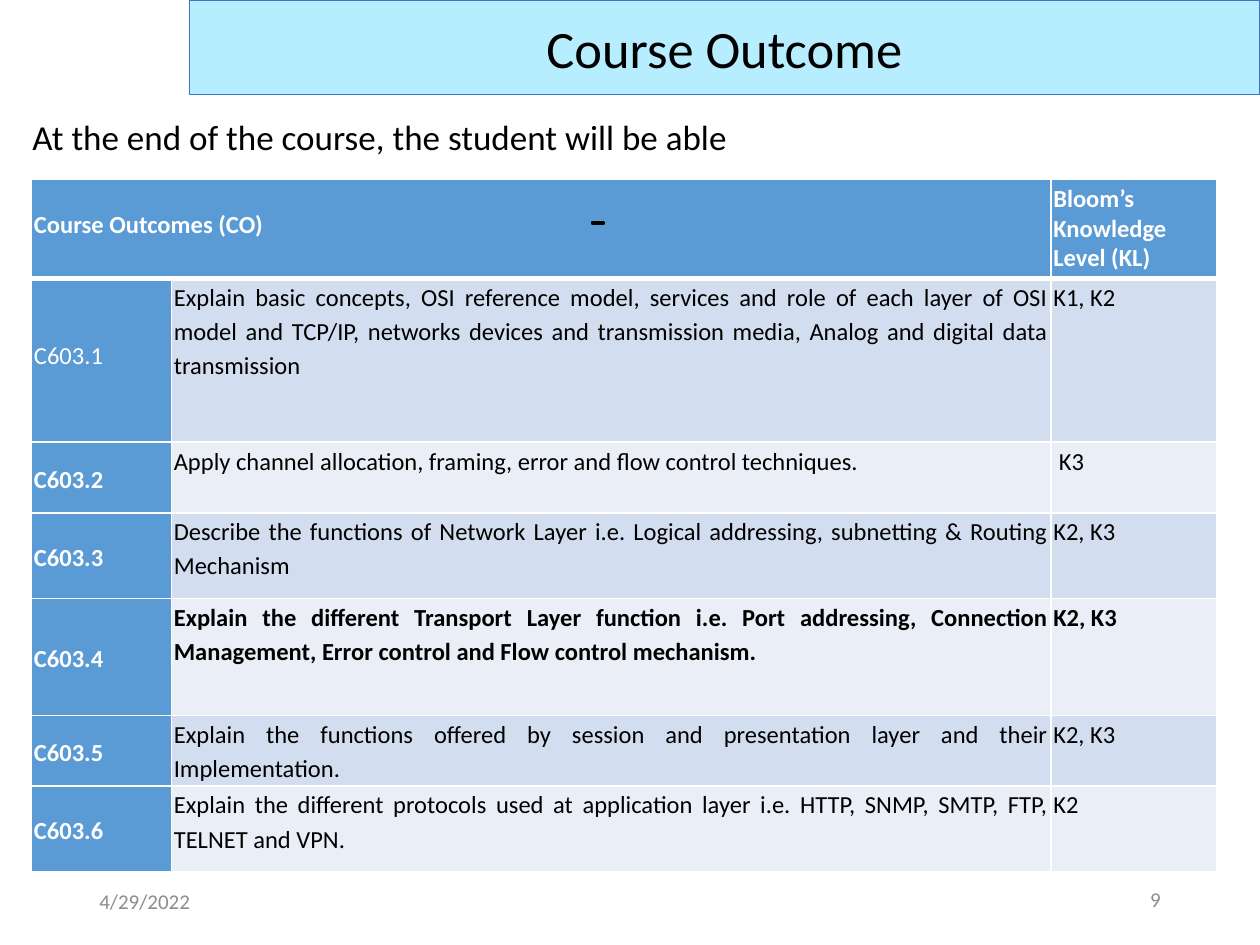
from lxml import etree
from pptx import Presentation
from pptx.dml.color import RGBColor
from pptx.enum import shapes, text
from pptx.oxml import ns
from pptx.util import Inches, Pt

COLORS = {
    "banner": "B7EEFF", "banner_line": "4472C4", "header": "5B9BD5",
    "odd": "D2DEEF", "even": "EAEFF7", "white": "FFFFFF",
    "black": "000000", "footer": "8C8C8C",
}
COLUMNS = [1.11, 6.98, 1.32]
ROWS = [0.79, 1.3, 0.56, 0.68, 0.93, 0.56, 0.68]
OUTCOMES = [
    ("Explain basic concepts, OSI reference model, services and role of each layer of OSI model "
     "and TCP/IP, networks devices and transmission media, Analog and digital data transmission", "K1, K2"),
    ("Apply channel allocation, framing, error and flow control techniques.", " K3"),
    ("Describe the functions of Network Layer i.e. Logical addressing, subnetting & Routing Mechanism", "K2, K3"),
    ("Explain the different Transport Layer function i.e. Port addressing, Connection Management, "
     "Error control and Flow control mechanism.", "K2, K3"),
    ("Explain the functions offered by session and presentation layer and their Implementation.", "K2, K3"),
    ("Explain the different protocols used at application layer i.e. HTTP, SNMP, SMTP, FTP, TELNET and VPN.", "K2"),
]
ALIGN = text.PP_ALIGN
MIDDLE = text.MSO_ANCHOR.MIDDLE


def color(name):
    return RGBColor.from_string(COLORS[name])


def write(frame, words, size, ink, align=ALIGN.LEFT, bold=False):
    paragraph = frame.paragraphs[0]
    paragraph.text = words
    paragraph.alignment = align
    font = paragraph.font
    font.name, font.size, font.bold = "Calibri", Pt(size), bold
    font.color.rgb = color(ink)
    return paragraph


def add_label(slide, box, words, size, ink, align=ALIGN.LEFT, anchor=MIDDLE, wrap=True):
    frame = slide.shapes.add_textbox(*map(Inches, box)).text_frame
    frame.word_wrap = wrap
    frame.vertical_anchor = anchor
    write(frame, words, size, ink, align)


def add_rectangle(slide, box, fill, line, width):
    shape = slide.shapes.add_shape(shapes.MSO_SHAPE.RECTANGLE, *map(Inches, box))
    shape.shadow.inherit = False
    shape.fill.solid()
    shape.fill.fore_color.rgb = color(fill)
    shape.line.color.rgb = color(line)
    shape.line.width = Pt(width)
    return shape


def add_banner(slide, box):
    shape = add_rectangle(slide, box, "banner", "banner_line", 0.5)
    shape.text_frame.vertical_anchor = MIDDLE
    write(shape.text_frame, "Course Outcome", 30, "black", ALIGN.CENTER)


def set_borders(cell, bottom):
    properties = cell._tc.get_or_add_tcPr()
    widths = {"lnL": 1, "lnR": 1, "lnT": 1, "lnB": bottom}
    for index, (side, width) in enumerate(widths.items()):
        line = etree.Element(ns.qn("a:" + side), w=str(Pt(width)))
        fill = etree.SubElement(line, ns.qn("a:solidFill"))
        etree.SubElement(fill, ns.qn("a:srgbClr"), val=COLORS["white"])
        properties.insert(index, line)


def fill_cell(cell, words, fill, ink="white", bold=True, align=ALIGN.LEFT,
              anchor=MIDDLE, spacing=1.15, after=10):
    cell.margin_left = cell.margin_right = Inches(0.02)
    cell.margin_top = cell.margin_bottom = 0
    cell.vertical_anchor = anchor
    cell.fill.solid()
    cell.fill.fore_color.rgb = color(fill)
    paragraph = write(cell.text_frame, words, 14, ink, align, bold)
    paragraph.line_spacing = spacing
    paragraph.space_after = Pt(after)


def add_outcome_table(slide, box):
    table = slide.shapes.add_table(len(ROWS), len(COLUMNS), *map(Inches, box)).table
    for column, width in zip(table.columns, COLUMNS):
        column.width = Inches(width)
    for row, height in zip(table.rows, ROWS):
        row.height = Inches(height)
    table.cell(0, 0).merge(table.cell(0, 1))
    fill_cell(table.cell(0, 0), "Course Outcomes (CO)", "header", spacing=Pt(12.7))
    fill_cell(table.cell(0, 2), "Bloom’s Knowledge Level (KL)", "header", spacing=1.0, after=0)
    for number, (outcome, level) in enumerate(OUTCOMES, 1):
        first = number == 1
        fill_cell(table.cell(number, 0), f"C603.{number}", "header", bold=not first,
                  spacing=Pt(12.7) if first else 1.15)
        for column, words in enumerate((outcome, level), 1):
            fill_cell(table.cell(number, column), words, "odd" if number % 2 else "even", "black",
                      bold=number == 4, align=ALIGN.JUSTIFY, anchor=text.MSO_ANCHOR.TOP,
                      after=6 if number > 4 else 10)
    for row in range(len(ROWS)):
        for column in range(len(COLUMNS)):
            set_borders(table.cell(row, column), 1 if row else 3)


def add_footer(slide, box):
    left, top, width, height = box
    add_label(slide, (left, top, 1.13, height), "4/29/2022", 12, "footer")
    add_label(slide, (left + width - 0.62, top - 0.01, 0.62, height), "9", 12, "footer", ALIGN.RIGHT)


def main():
    presentation = Presentation()
    presentation.slide_width, presentation.slide_height = Inches(10), Inches(7.5)
    slide = presentation.slides.add_slide(presentation.slide_layouts[6])
    add_footer(slide, (0.69, 6.95, 8.62, 0.4))
    add_banner(slide, (1.5, 0, 8.5, 0.75))
    add_label(slide, (0.16, 0.87, 5.77, 0.44), "At the end of the course, the student will be able",
              20, "black", anchor=text.MSO_ANCHOR.TOP, wrap=False)
    add_outcome_table(slide, (0.25, 1.42, sum(COLUMNS), sum(ROWS)))
    add_rectangle(slide, (4.7, 1.76, 0.09, 0.02), "black", "black", 1.42)
    presentation.save("out.pptx")


if __name__ == "__main__":
    main()
